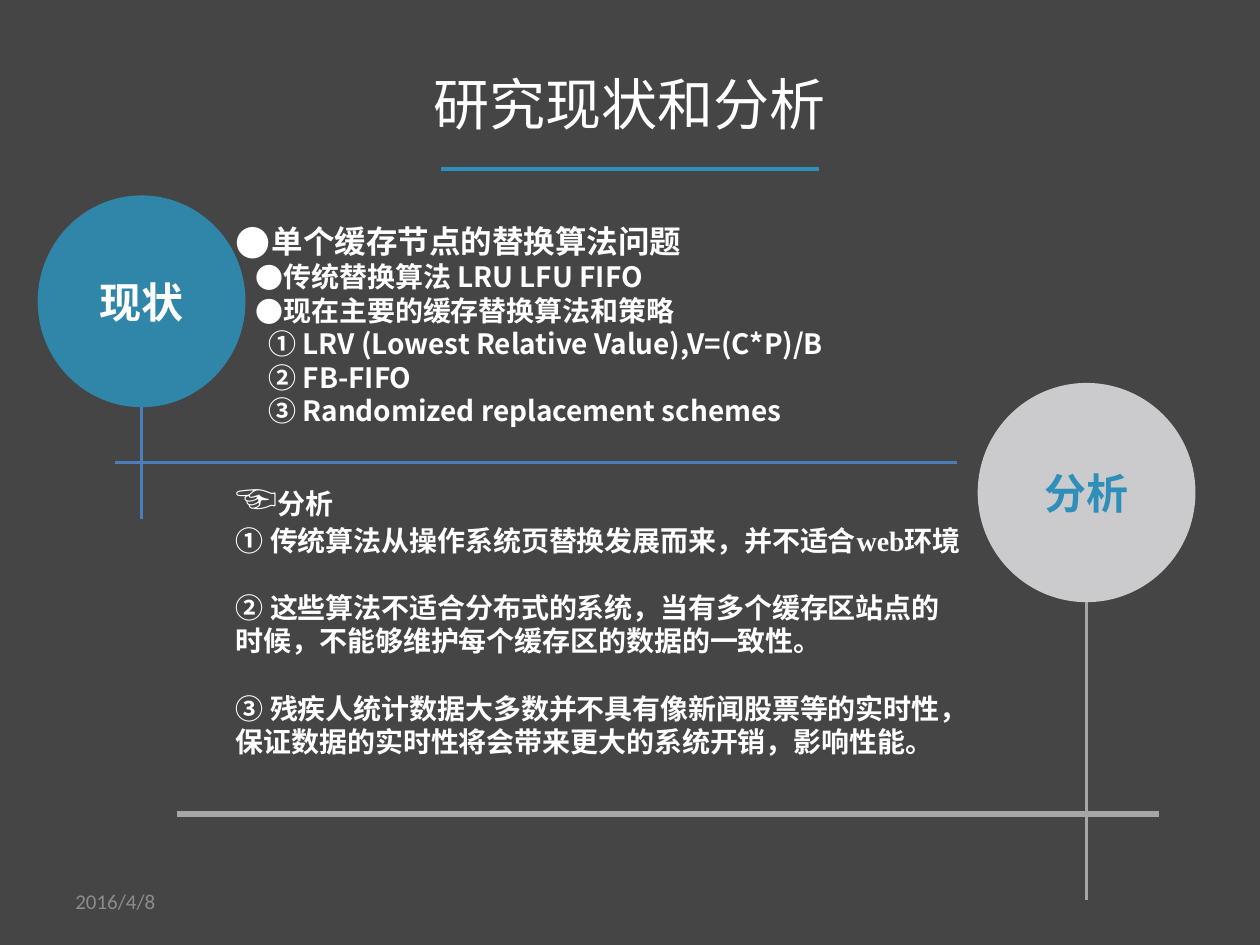
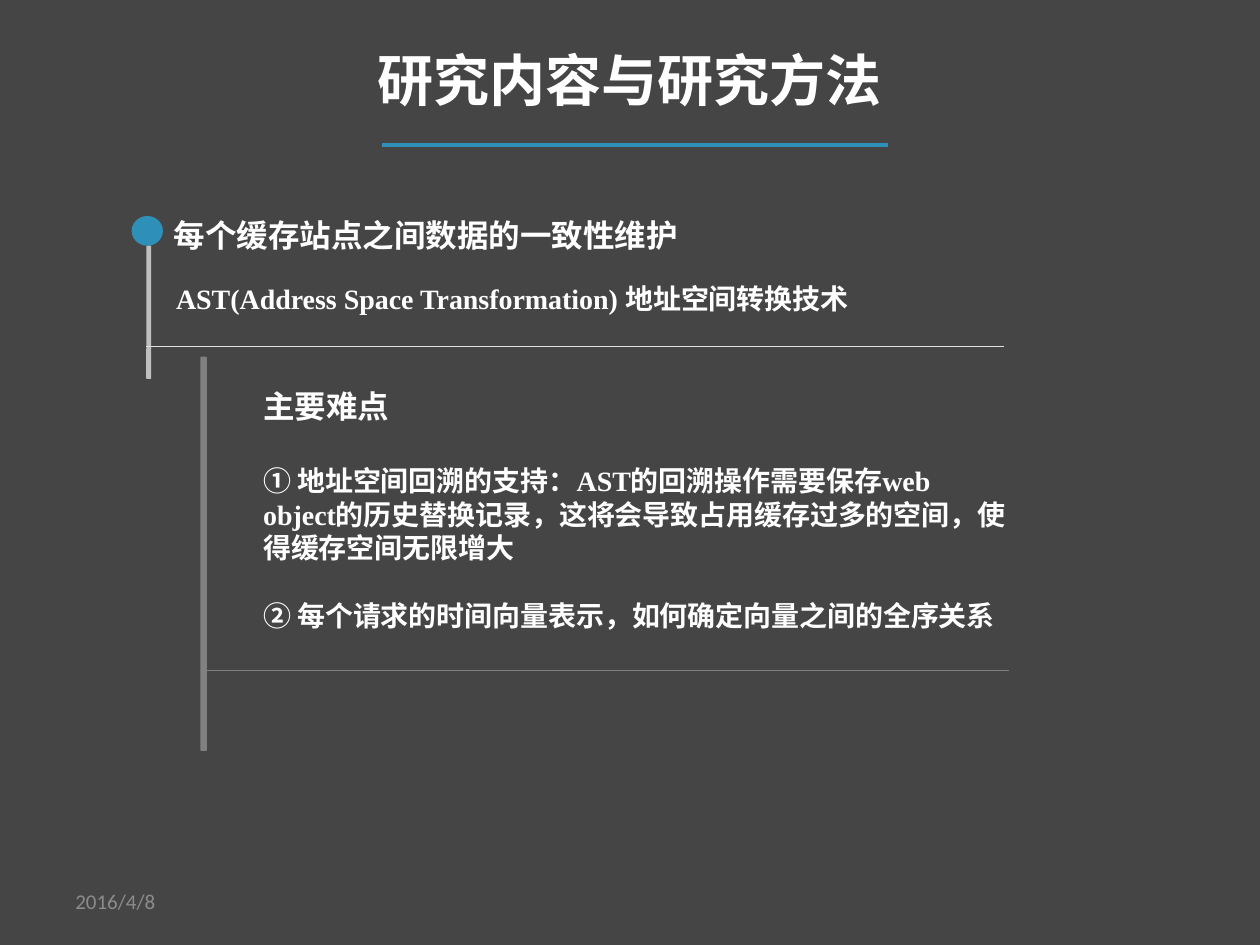
from lxml import etree
from pptx import Presentation
from pptx import util as u
from pptx.dml.color import RGBColor
from pptx.enum import shapes, text
from pptx.oxml.ns import qn

Cm, Pt = u.Cm, u.Pt
BACK, WHITE, BLUE, LINE_BLUE = "454545", "FFFFFF", "2E90B8", "4B7EBC"
PALE, SILVER, GREY, DARK_GREY, DATE_GREY = "DFE0E2", "BFBFBF", "A6A6A6", "808080", "8C8C8C"
CJK, BULLET_FONT, SERIF, SANS = "Noto Sans CJK SC", "Noto Sans CJK JP", "Times New Roman", "Calibri"


def rgb(value):
    return RGBColor.from_string(value)


def sub(parent, tag, **attrs):
    return etree.SubElement(parent, qn(tag), {k: str(v) for k, v in attrs.items()})


def add_run(p, content, size=16, font=CJK, color=WHITE, bold=True):
    r = p.add_run()
    r.text = content
    r.font.size, r.font.name, r.font.bold = Pt(size), font, bold
    r.font.color.rgb = rgb(color)
    sub(r._r.get_or_add_rPr(), "a:ea", typeface=CJK)
    return r


def add_para(tf, content, first=False, lead=None, indent=0, hang=0, before=0,
             bullet_pct=None, align=text.PP_ALIGN.LEFT, **fmt):
    p = tf.paragraphs[0] if first else tf.add_paragraph()
    size = lead or fmt.get("size", 16)
    p.alignment = align
    p.line_spacing = Pt(round(size * (1.3 if first else 1.2), 1))
    p.space_before = Pt(before)
    pr = p._p.get_or_add_pPr()
    pr.set("marL", str(Cm(indent + hang)))
    pr.set("indent", str(-Cm(hang)))
    if bullet_pct:
        sub(pr, "a:buSzPct", val=bullet_pct * 1000)
        sub(pr, "a:buFont", typeface=BULLET_FONT)
        sub(pr, "a:buChar", char="●")
    else:
        sub(pr, "a:buNone")
    add_run(p, content, **fmt)
    return p


def place(sp, x, y, w, h, anchor=text.MSO_ANCHOR.TOP):
    sp.left, sp.top, sp.width, sp.height = Cm(x), Cm(y), Cm(w), Cm(h)
    tf = sp.text_frame
    tf.word_wrap, tf.auto_size = True, text.MSO_AUTO_SIZE.NONE
    tf.vertical_anchor = anchor
    return tf


def add_box(s, x, y, w, h, **kw):
    return place(s.shapes.add_textbox(0, 0, 0, 0), x, y, w, h, **kw)


def add_line(s, x1, y1, x2, y2, color, width):
    c = s.shapes.add_connector(shapes.MSO_CONNECTOR.STRAIGHT, Cm(x1), Cm(y1), Cm(x2), Cm(y2))
    c.line.color.rgb, c.line.width = rgb(color), Pt(width)
    sub(c._element.spPr, "a:effectLst")


def add_solid(s, kind, x, y, w, h, color, alpha=None):
    sp = s.shapes.add_shape(kind, Cm(x), Cm(y), Cm(w), Cm(h))
    sp.shadow.inherit = False
    sp.fill.solid()
    sp.fill.fore_color.rgb = rgb(color)
    sp.line.fill.background()
    if alpha:
        clr = sp._element.spPr.find(qn("a:solidFill")).find(qn("a:srgbClr"))
        sub(clr, "a:alpha", val=alpha * 1000)
    return sp


def add_title(s, content, y, rule_left, rule_right, bold):
    tf = place(s.shapes.title, 0, y, 25.4, 1.63, anchor=text.MSO_ANCHOR.MIDDLE)
    p = tf.paragraphs[0]
    p.alignment = text.PP_ALIGN.CENTER
    add_run(p, content, size=32, bold=bold)
    add_line(s, rule_left, y + 2.13, rule_right, y + 2.13, BLUE, 2.25)


def add_date(s):
    tf = add_box(s, 1.27, 17.65, 5.92, 1.02, anchor=text.MSO_ANCHOR.MIDDLE)
    add_run(tf.paragraphs[0], "2016/4/8", size=12, font=SANS, color=DATE_GREY, bold=False)


def add_badge(s, x, y, w, h, label, fill, color, stem, stem_color, stem_width):
    sp = add_solid(s, shapes.MSO_SHAPE.OVAL, x, y, w, h, fill, alpha=87)
    sp.text_frame.vertical_anchor = text.MSO_ANCHOR.MIDDLE
    p = sp.text_frame.paragraphs[0]
    p.alignment = text.PP_ALIGN.CENTER
    add_run(p, label, size=24, font="Arial", color=color)
    mid = x + w / 2
    add_line(s, mid, y + h, mid, y + h + stem, stem_color, stem_width)


def fill_status(sp, x, y, w, h):
    tf = place(sp, x, y, w, h)
    add_para(tf, "单个缓存节点的替换算法问题", first=True, lead=20, hang=0.72, bullet_pct=111, size=18)
    for line in ("传统替换算法 LRU LFU FIFO", "现在主要的缓存替换算法和策略"):
        add_para(tf, line, indent=0.4, hang=0.54, bullet_pct=100)
    for line in ("① LRV (Lowest Relative Value),V=(C*P)/B", "② FB-FIFO",
                 "③ Randomized replacement schemes"):
        add_para(tf, line, indent=0.66)


def fill_analysis(sp, x, y, w, h):
    tf = place(sp, x, y, w, h)
    p = add_para(tf, "☜", first=True, size=24, font=SANS, bold=False)
    add_run(p, "分析", font=SERIF)
    points = ("① 传统算法从操作系统页替换发展而来，并不适合web环境",
              "② 这些算法不适合分布式的系统，当有多个缓存区站点的时候，不能够维护每个缓存区的数据的一致性。",
              "③ 残疾人统计数据大多数并不具有像新闻股票等的实时性，"
              "保证数据的实时性将会带来更大的系统开销，影响性能。")
    for i, point in enumerate(points):
        add_para(tf, point, before=19.2 if i else 0, font=SERIF)


def add_topic(s, x, y, w):
    add_solid(s, shapes.MSO_SHAPE.ROUNDED_RECTANGLE, x + 0.26, y + 0.56, 0.1, 2.69, SILVER)
    dot = add_solid(s, shapes.MSO_SHAPE.OVAL, x, y, 0.56, 0.53, BLUE)
    dot.line.color.rgb, dot.line.width = rgb(BLUE), Pt(2)
    add_line(s, x + 0.26, y + 2.6, x + w, y + 2.6, PALE, 0.75)
    tf = add_box(s, x + 0.56, y - 0.22, 14.05, 1.02)
    add_para(tf, "每个缓存站点之间数据的一致性维护", first=True, size=18, font=SANS)
    tf = add_box(s, x + 0.61, y + 1.1, 17.8, 0.94)
    add_para(tf, "AST(Address Space Transformation) 地址空间转换技术", first=True, font=SERIF)


def add_difficulties(s, sp, x, y, w, h):
    add_solid(s, shapes.MSO_SHAPE.ROUNDED_RECTANGLE, x, y, 0.13, h, DARK_GREY)
    add_line(s, x + 0.13, y + 6.32, x + w, y + 6.32, DARK_GREY, 0.75)
    tf = place(sp, x + 1.01, y + 0.43, 15.49, 5.84)
    add_para(tf, "主要难点", first=True, size=18, font=SERIF)
    add_para(tf, "① 地址空间回溯的支持：AST的回溯操作需要保存web object的历史替换记录，"
                 "这将会导致占用缓存过多的空间，使得缓存空间无限增大", before=22, font=SERIF)
    add_para(tf, "② 每个请求的时间向量表示，如何确定向量之间的全序关系", before=19.2, font=SERIF)


def build_status_slide(prs):
    s = prs.slides.add_slide(prs.slide_layouts[3])
    add_title(s, "研究现状和分析", 1.27, 8.89, 16.51, bold=False)
    add_badge(s, 19.71, 7.72, 4.39, 4.42, "分析", PALE, BLUE, 6, GREY, 1.5)
    add_badge(s, 0.76, 3.94, 4.19, 4.27, "现状", BLUE, WHITE, 2.25, LINE_BLUE, 2)
    fill_status(s.placeholders[1], 4.5, 4.19, 15.19, 5.1)
    fill_analysis(s.placeholders[2], 4.5, 9.32, 15.19, 7)
    add_line(s, 2.31, 9.32, 19.3, 9.32, LINE_BLUE, 2)
    add_line(s, 3.56, 16.41, 23.37, 16.41, GREY, 3.25)
    add_date(s)


def build_method_slide(prs):
    s = prs.slides.add_slide(prs.slide_layouts[1])
    add_title(s, "研究内容与研究方法", 0.79, 7.7, 17.91, bold=True)
    add_topic(s, 2.69, 4.39, 17.55)
    add_difficulties(s, s.placeholders[1], 4.04, 7.19, 16.31, 7.95)
    add_date(s)


def main():
    prs = Presentation()
    prs.slide_width, prs.slide_height = Cm(25.4), Cm(19.05)
    back = prs.slide_master.background.fill
    back.solid()
    back.fore_color.rgb = rgb(BACK)
    build_status_slide(prs)
    build_method_slide(prs)
    prs.save("out.pptx")


if __name__ == "__main__":
    main()
